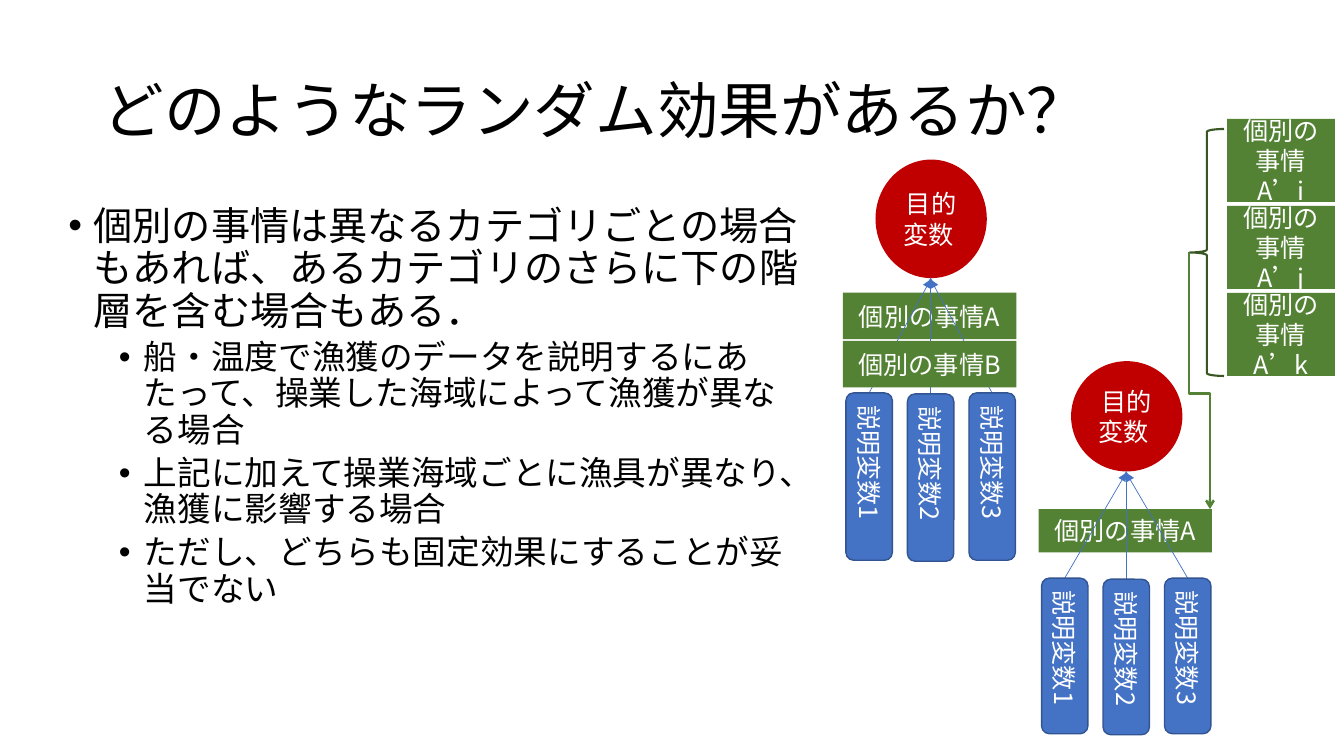
from lxml.etree import SubElement
from pptx import Presentation
from pptx.dml.color import RGBColor as Rgb
from pptx.enum.shapes import MSO_CONNECTOR as Conn, MSO_SHAPE as Geo
from pptx.enum.text import MSO_ANCHOR as Anchor, PP_ALIGN as Align
from pptx.oxml.ns import qn
from pptx.util import Inches, Pt

FONT = "Noto Sans CJK JP"
BLACK = Rgb(0x00, 0x00, 0x00)
WHITE = Rgb(0xFF, 0xFF, 0xFF)
RED = Rgb(0xC0, 0x00, 0x00)
GREEN = Rgb(0x54, 0x82, 0x35)
MOSS = Rgb(0x38, 0x57, 0x23)
BLUE = Rgb(0x44, 0x72, 0xC4)
NAVY = Rgb(0x32, 0x54, 0x91)

TITLE = "どのようなランダム効果があるか？"
POINTS = [
    (0, "個別の事情は異なるカテゴリごとの場合もあれば、あるカテゴリのさらに下の階層を含む場合もある．"),
    (1, "船・温度で漁獲のデータを説明するにあたって、操業した海域によって漁獲が異なる場合"),
    (1, "上記に加えて操業海域ごとに漁具が異なり、漁獲に影響する場合"),
    (1, "ただし、どちらも固定効果にすることが妥当でない"),
]


def inch(*nums):
    """Turn inches into lengths."""
    return [Inches(n) for n in nums]


def style(para, size, color):
    """Set the font of a paragraph for Latin and Japanese text."""
    font = para.font
    font.size = Pt(size)
    font.color.rgb = color
    font.name = FONT
    props = para._p.pPr.find(qn("a:defRPr"))
    SubElement(props, qn("a:ea")).set("typeface", FONT)


def block(shapes, geo, box, fill, line=None, text="", align=Align.CENTER):
    """Add a filled shape with centred white text."""
    shape = shapes.add_shape(geo, *inch(*box))
    shape.shadow.inherit = False
    shape.fill.solid()
    shape.fill.fore_color.rgb = fill
    if line is None:
        shape.line.fill.background()
    else:
        shape.line.color.rgb = line
        shape.line.width = Pt(1)
    frame = shape.text_frame
    frame.word_wrap = True
    frame.vertical_anchor = Anchor.MIDDLE
    para = frame.paragraphs[0]
    para.text = text
    para.alignment = align
    style(para, 18, WHITE)
    return shape


def arrow(shapes, kind, start, end, color, width, head):
    """Add a connector with an arrowhead at its end."""
    link = shapes.add_connector(kind, *inch(*start, *end))
    link.line.color.rgb = color
    link.line.width = Pt(width)
    SubElement(link.line._get_or_add_ln(), qn("a:tailEnd")).set("type", head)
    SubElement(link._element.spPr, qn("a:effectLst"))
    return link


def title(slide, box):
    """Place the slide title."""
    frame = slide.shapes.add_textbox(*inch(*box)).text_frame
    frame.word_wrap = True
    frame.vertical_anchor = Anchor.MIDDLE
    para = frame.paragraphs[0]
    para.text = TITLE
    para.line_spacing = 0.9
    style(para, 44, BLACK)


def points(slide, box):
    """Place the bulleted list."""
    frame = slide.shapes.add_textbox(*inch(*box)).text_frame
    frame.word_wrap = True
    for i, (level, text) in enumerate(POINTS):
        para = frame.add_paragraph() if i else frame.paragraphs[0]
        para.text = text
        para.level = level
        para.line_spacing = 0.9
        if i:
            para.space_before = Pt(5)
        props = para._p.get_or_add_pPr()
        props.set("marL", str(Inches(0.25 + 0.5 * level)))
        props.set("indent", str(Inches(-0.25)))
        SubElement(props, qn("a:buFont")).set("typeface", "Arial")
        SubElement(props, qn("a:buChar")).set("char", "•")
        style(para, 28 - 4 * level, BLACK)


def model(slide, box, causes):
    """Draw a target, its causes and three variables; causes are (name, share of height)."""
    left, top, wide, high = box
    shapes = slide.shapes.add_group_shape().shapes
    mid = left + wide / 2

    def cause(name, share):
        block(shapes, Geo.RECTANGLE, (left, top + share * high, wide, 0.116 * high),
              GREEN, text=name)

    oval = 0.292 * high
    block(shapes, Geo.OVAL, (mid - 0.53, top, 1.09, oval), RED, RED, "目的変数 ")
    cause(*causes[0])

    base = top + 0.58 * high
    rod = 0.417 * high
    for i in range(3):
        x = mid + 0.01 + 0.61 * (i - 1)
        drop = 0.01 if i == 1 else 0
        arrow(shapes, Conn.STRAIGHT, (x, base + drop),
              (mid + 0.01, top + oval + 0.02 - 2 * drop), BLUE, 0.5, "triangle")
        bar = block(shapes, Geo.ROUNDED_RECTANGLE,
                    (x - rod / 2, base + drop + rod / 2 - 0.23, rod, 0.46),
                    BLUE, NAVY, f"説明変数{i + 1}", Align.JUSTIFY)
        bar.rotation = 90

    for name, share in causes[1:]:
        cause(name, share)


def nest(slide, box):
    """Draw the stacked sub-causes, their brace and the arrow to the cause."""
    left, top, wide, high = box
    shapes = slide.shapes
    step = high / 3
    for i, mark in enumerate("ijk"):
        block(shapes, Geo.RECTANGLE, (left, top + i * step, wide, step - 0.04),
              GREEN, text=f"個別の事情A’{mark}")

    brace = shapes.add_shape(Geo.LEFT_BRACE, *inch(left - 0.37, top + 0.1, 0.34, high - 0.14))
    brace.shadow.inherit = False
    brace.fill.background()
    brace.line.color.rgb = MOSS
    brace.line.width = Pt(1.5)

    x, y, run, rise = left - 1.55, top + 2.49, 2.55, 0.21
    bend = arrow(shapes, Conn.ELBOW, (x + run, y), (x, y + rise), GREEN, 1.75, "arrow")
    props = bend._element.spPr
    props.xfrm.set("rot", str(270 * 60000))
    geom = props.find(qn("a:prstGeom"))
    guides = geom.find(qn("a:avLst"))
    if guides is None:
        guides = SubElement(geom, qn("a:avLst"))
    guide = SubElement(guides, qn("a:gd"))
    guide.set("name", "adj1")
    guide.set("fmla", "val 55100")


def main():
    """Build and save the slide."""
    deck = Presentation()
    deck.slide_width, deck.slide_height = inch(13.33, 7.5)
    slide = deck.slides.add_slide(deck.slide_layouts[6])
    title(slide, (0.92, 0.4, 11.5, 1.45))
    points(slide, (0.58, 2, 7.46, 4.76))
    model(slide, (8.36, 1.59, 1.72, 3.98), [("個別の事情A", 0.33), ("個別の事情B", 0.45)])
    model(slide, (10.3, 3.59, 1.72, 3.7), [("個別の事情A", 0.395)])
    nest(slide, (12.17, 1.18, 1.07, 2.59))
    deck.save("out.pptx")


if __name__ == "__main__":
    main()
